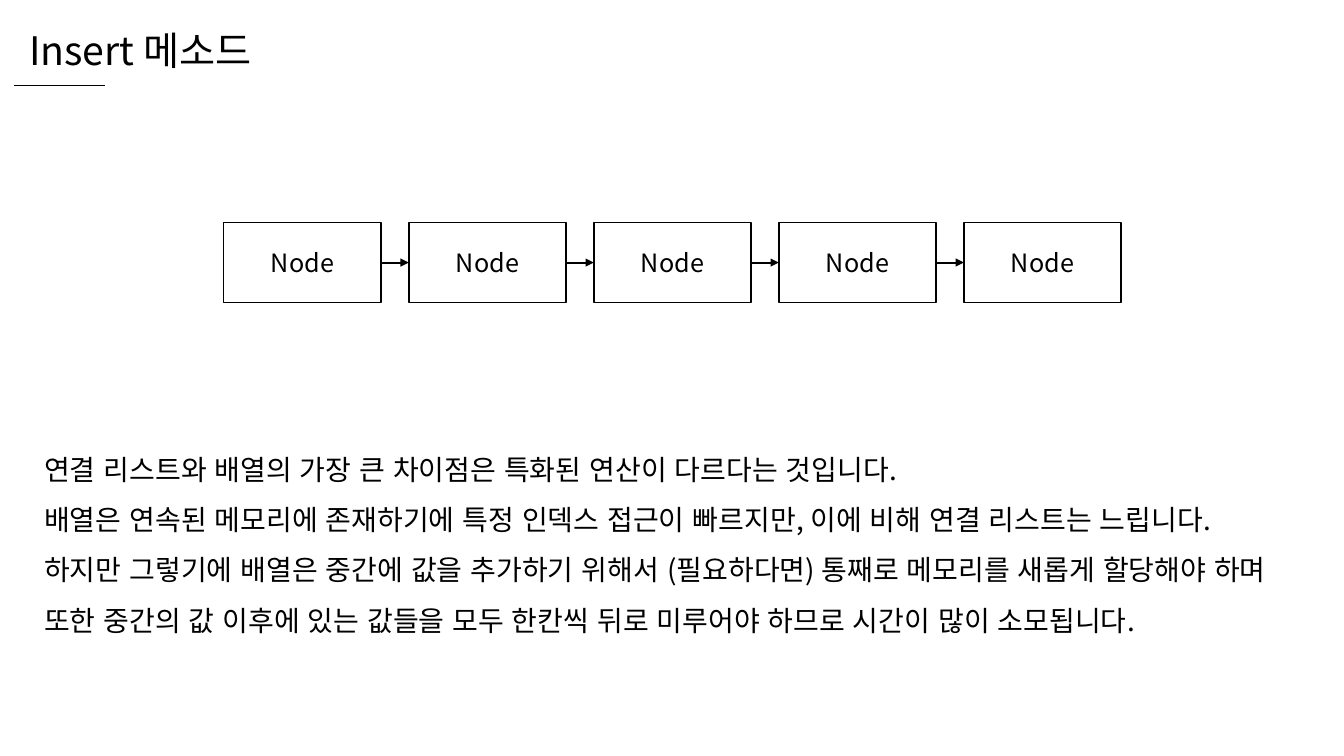
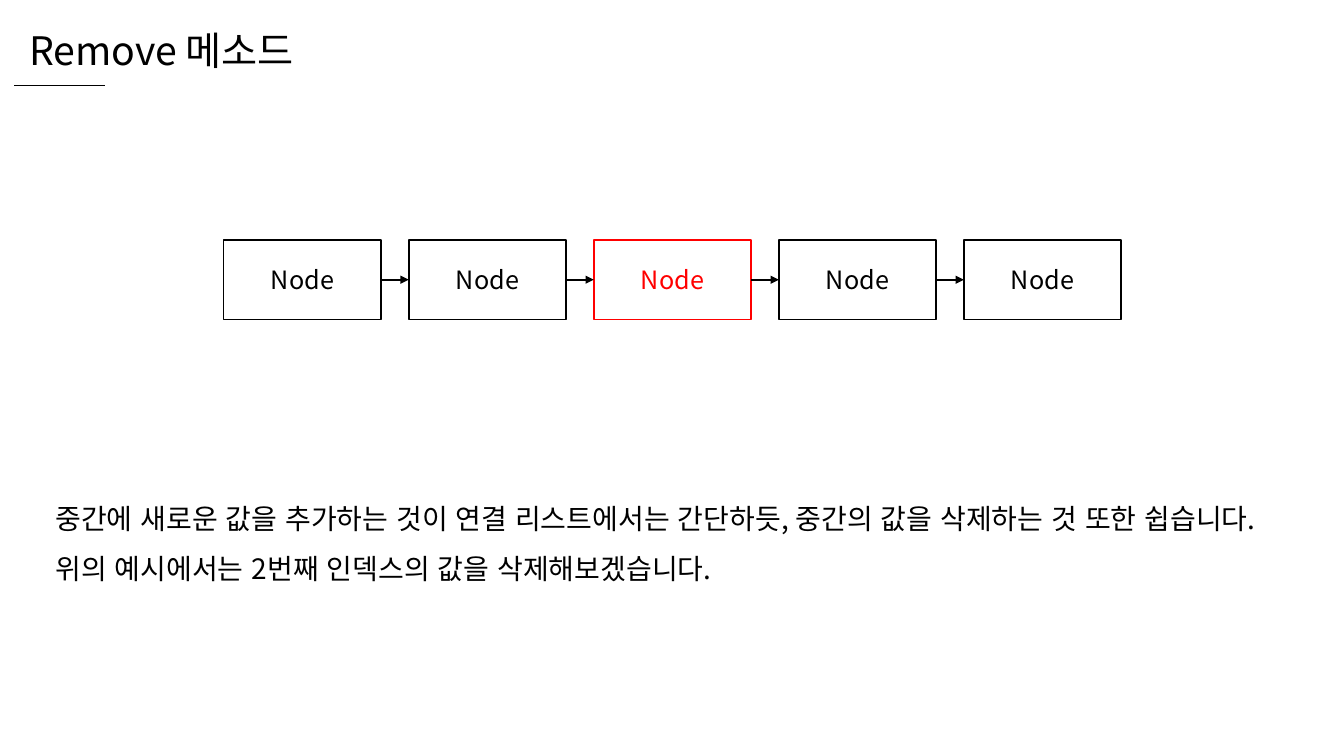
import pptx
import pptx.util
import pptx.dml.color
import pptx.enum.lang
import pptx.enum.shapes
import pptx.enum.text
import pptx.oxml.ns
import lxml.etree

Inches = pptx.util.Inches
FONT = "Noto Sans CJK KR"
BLACK, WHITE, RED = "000000", "FFFFFF", "FF0000"

# Node chain measures, in inches
NODE_COUNT = 5
FIRST_LEFT, LAST_LEFT = 2.22, 9.56
NODE_WIDTH, NODE_HEIGHT = 1.56, 0.79
NODE_STEP = (LAST_LEFT - FIRST_LEFT) / (NODE_COUNT - 1)
LEFT_SIDE, RIGHT_SIDE = 1, 3


def color(hex_code):
    return pptx.dml.color.RGBColor.from_string(hex_code)


def add_xml(parent, tag, **attributes):
    return lxml.etree.SubElement(parent, pptx.oxml.ns.qn(tag), **attributes)


def write(frame, text, size=20, ink=BLACK, align=None, spacing=None):
    """Fill a text frame, one paragraph for each line of text."""
    frame.word_wrap = True
    for index, line in enumerate(text.split("\n")):
        paragraph = frame.add_paragraph() if index else frame.paragraphs[0]
        paragraph.alignment = align
        paragraph.line_spacing = spacing
        run = paragraph.add_run()
        run.text = line
        run.font.size = pptx.util.Pt(size)
        run.font.color.rgb = color(ink)
        run.font.language_id = pptx.enum.lang.MSO_LANGUAGE_ID.KOREAN
        run.font.name = FONT
        add_xml(run._r.get_or_add_rPr(), "a:ea", typeface=FONT)


def add_text(slide, text, left, top, width, height, **text_format):
    box = slide.shapes.add_textbox(
        Inches(left), Inches(top), Inches(width), Inches(height))
    write(box.text_frame, text, **text_format)


def add_line(slide, start=(0, 0), end=(0, 0), weight=0.5):
    line = slide.shapes.add_connector(
        pptx.enum.shapes.MSO_CONNECTOR.STRAIGHT,
        *(Inches(value) for value in (*start, *end)))
    line.line.color.rgb = color(BLACK)
    line.line.width = pptx.util.Pt(weight)
    add_xml(line._element.spPr, "a:effectLst")
    return line


def add_arrow(slide, source, target):
    arrow = add_line(slide, weight=1.5)
    arrow.begin_connect(source, RIGHT_SIDE)
    arrow.end_connect(target, LEFT_SIDE)
    add_xml(arrow.line._get_or_add_ln(), "a:tailEnd", type="triangle")


def add_node(slide, left, top, ink):
    node = slide.shapes.add_shape(
        pptx.enum.shapes.MSO_SHAPE.RECTANGLE,
        Inches(left), Inches(top), Inches(NODE_WIDTH), Inches(NODE_HEIGHT))
    node.shadow.inherit = False
    node.fill.solid()
    node.fill.fore_color.rgb = color(WHITE)
    node.line.color.rgb = color(ink)
    node.line.width = pptx.util.Pt(1)
    node.text_frame.vertical_anchor = pptx.enum.text.MSO_ANCHOR.MIDDLE
    write(node.text_frame, "Node", size=18, ink=ink,
          align=pptx.enum.text.PP_ALIGN.CENTER)
    return node


def add_chain(slide, top, marked=None):
    """Draw the linked list; the marked index is red."""
    nodes = [add_node(slide, FIRST_LEFT + index * NODE_STEP, top,
                      RED if index == marked else BLACK)
             for index in range(NODE_COUNT)]
    for source, target in zip(nodes, nodes[1:]):
        add_arrow(slide, source, target)


def add_method_slide(deck, title):
    """Start a blank slide with the shared title and its rule."""
    slide = deck.slides.add_slide(deck.slide_layouts[6])
    add_text(slide, title, 0.19, 0.21, 2.99, 0.57, size=28)
    add_line(slide, (0.14, 0.85), (1.04, 0.85))
    return slide


def main():
    deck = pptx.Presentation()
    deck.slide_width, deck.slide_height = Inches(13.33), Inches(7.5)

    # Insert method
    insert = add_method_slide(deck, "Insert 메소드")
    add_chain(insert, 2.21)
    add_text(
        insert,
        "연결 리스트와 배열의 가장 큰 차이점은 특화된 연산이 다르다는 것입니다.\n"
        "배열은 연속된 메모리에 존재하기에 특정 인덱스 접근이 빠르지만, "
        "이에 비해 연결 리스트는 느립니다.\n"
        "하지만 그렇기에 배열은 중간에 값을 추가하기 위해서 (필요하다면) "
        "통째로 메모리를 새롭게 할당해야 하며\n"
        "또한 중간의 값 이후에 있는 값들을 모두 한칸씩 뒤로 미루어야 하므로 "
        "시간이 많이 소모됩니다.",
        0.34, 4.27, 12.66, 2.06, spacing=1.5)

    # Remove method
    remove = add_method_slide(deck, "Remove 메소드")
    add_text(
        remove,
        "중간에 새로운 값을 추가하는 것이 연결 리스트에서는 간단하듯, "
        "중간의 값을 삭제하는 것 또한 쉽습니다.\n"
        "위의 예시에서는 2번째 인덱스의 값을 삭제해보겠습니다.",
        0.45, 4.76, 12.44, 1.05, spacing=1.5)
    add_chain(remove, 2.38, marked=2)

    deck.save("out.pptx")


main()
